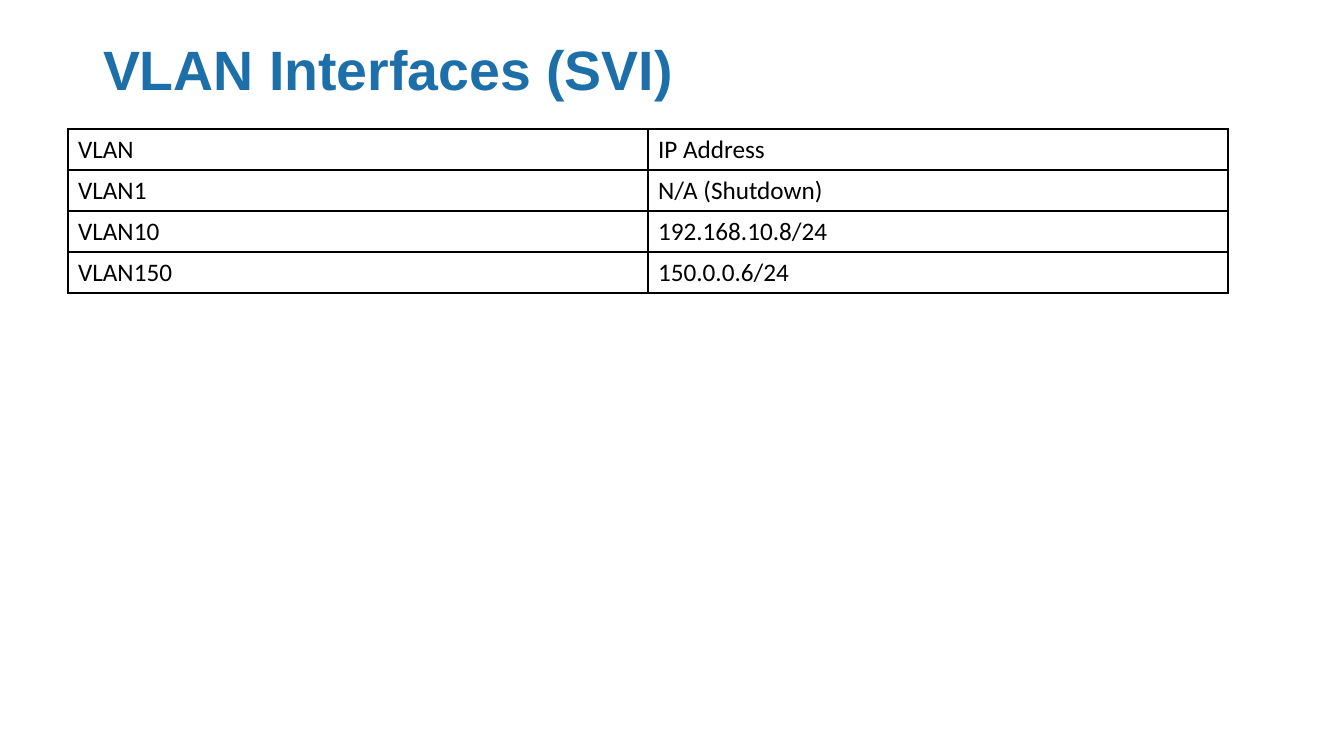
from lxml.etree import SubElement
from pptx import Presentation
from pptx.dml.color import RGBColor
from pptx.enum.text import MSO_ANCHOR, PP_ALIGN
from pptx.oxml.ns import qn
from pptx.util import Pt

PX = 914400 / 100.8
HUES = {"blue": "1D6FA9", "black": "000000", "white": "FFFFFF"}
ROWS = [
    ("VLAN", "IP Address"),
    ("VLAN1", "N/A (Shutdown)"),
    ("VLAN10", "192.168.10.8/24"),
    ("VLAN150", "150.0.0.6/24"),
]


def px(size):
    return round(size * PX)


def write(frame, text, font="Calibri", size=18, hue="black", bold=False):
    frame.text = text
    para = frame.paragraphs[0]
    para.alignment = PP_ALIGN.LEFT
    face = para.runs[0].font
    face.name, face.size, face.bold = font, Pt(size), bold
    face.color.rgb = RGBColor.from_string(HUES[hue])


def edge(cell, hue="black", width=1):
    """Draw all four borders of a cell, ahead of its fill in the XML."""
    props = cell._tc.get_or_add_tcPr()
    for spot, side in enumerate(("lnL", "lnR", "lnT", "lnB")):
        line = SubElement(props, qn(f"a:{side}"), w=str(Pt(width)))
        fill = SubElement(line, qn("a:solidFill"))
        SubElement(fill, qn("a:srgbClr"), val=HUES[hue])
        props.insert(spot, line)


class Deck:
    def __init__(self, wide, high):
        self.show = Presentation()
        self.show.slide_width, self.show.slide_height = px(wide), px(high)
        self.slide = self.show.slides.add_slide(self.show.slide_layouts[5])

    def title(self, text, left, top, wide, high):
        box = self.slide.shapes.title
        box.left, box.top = px(left), px(top)
        box.width, box.height = px(wide), px(high)
        frame = box.text_frame
        frame.vertical_anchor = MSO_ANCHOR.MIDDLE
        write(frame, text, font="Arial", size=39.6, hue="blue", bold=True)

    def table(self, rows, left, top, wide, step):
        count = len(rows[0])
        grid = self.slide.shapes.add_table(
            len(rows), count, px(left), px(top), px(wide), px(step * len(rows))
        ).table
        grid.first_row = grid.horz_banding = False
        for r, row in enumerate(rows):
            for c, text in enumerate(row):
                cell = grid.cell(r, c)
                cell.fill.solid()
                cell.fill.fore_color.rgb = RGBColor.from_string(HUES["white"])
                cell.vertical_anchor = MSO_ANCHOR.MIDDLE
                write(cell.text_frame, text)
                edge(cell)


def main():
    deck = Deck(1344, 756)
    deck.title("VLAN Interfaces (SVI)", 93, 32, 1159, 72)
    deck.table(ROWS, 68, 129, 1160, 41)
    deck.show.save("out.pptx")


if __name__ == "__main__":
    main()
